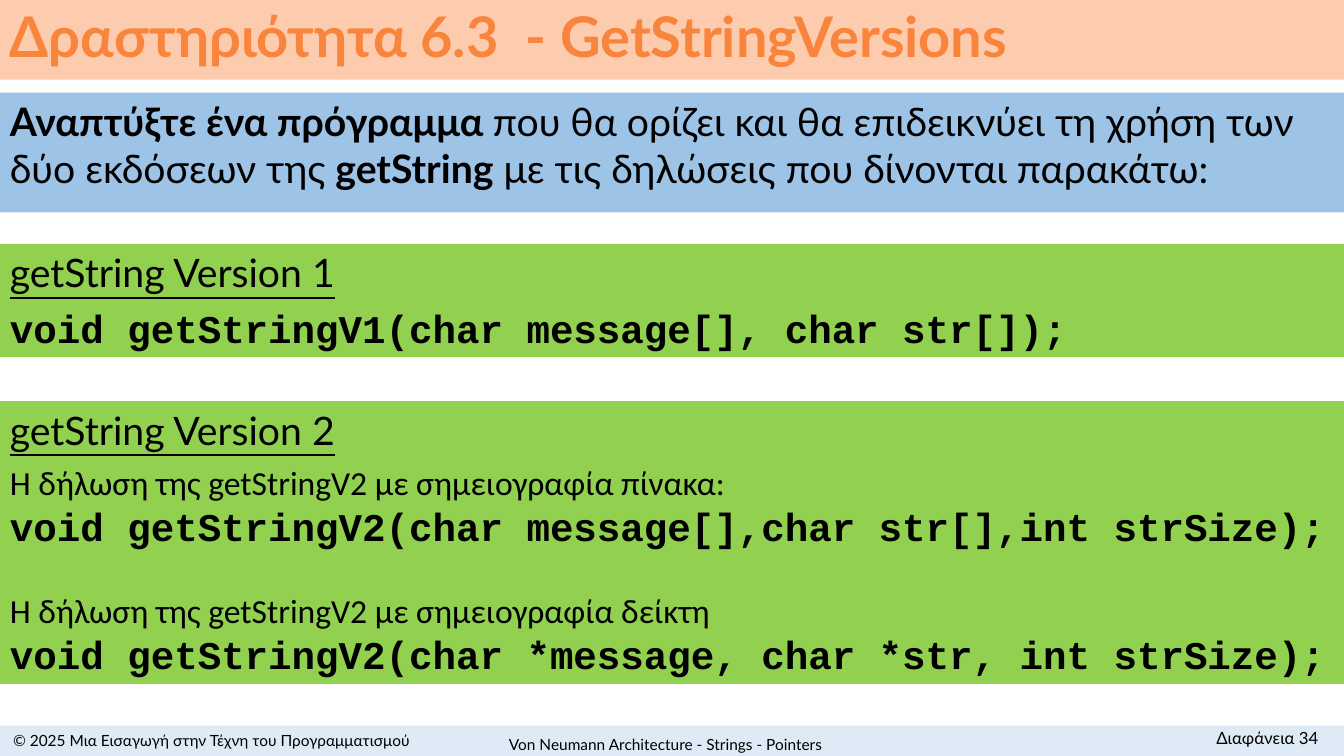
from dataclasses import dataclass

import pptx
import pptx.dml.color
import pptx.enum.shapes
import pptx.enum.text
import pptx.slide
import pptx.text.text
import pptx.util

Pt = pptx.util.Pt
ALIGN = pptx.enum.text.PP_ALIGN
ANCHOR = pptx.enum.text.MSO_ANCHOR
COLORS = {
    "peach": "FDCBAD",
    "orange": "F9853D",
    "blue": "9DC3E6",
    "green": "92D050",
    "pale": "DEEBF7",
    "black": "000000",
}
WIDTH, HEIGHT = 960, 540


@dataclass
class Run:
    text: str
    size: float = 28
    font: str = "Lato"
    color: str = "black"
    bold: bool = False
    underline: bool = False


@dataclass
class Para:
    runs: list[Run]
    before: float = 0
    after: float = 0
    line: float = 1.0
    align: ALIGN = ALIGN.LEFT


@dataclass
class Band:
    top: float
    height: float
    color: str
    paras: list[Para]
    anchor: ANCHOR = ANCHOR.TOP


@dataclass
class Label:
    left: float
    top: float
    width: float
    height: float
    text: str
    size: float
    align: ALIGN
    anchor: ANCHOR


def rgb(name: str) -> pptx.dml.color.RGBColor:
    return pptx.dml.color.RGBColor.from_string(COLORS[name])


def add_run(p: pptx.text.text._Paragraph, text: str, *, size: float, font: str,
            color: str, bold: bool, underline: bool) -> None:
    r = p.add_run()
    r.text = text
    r.font.size = Pt(size)
    r.font.name = font
    r.font.color.rgb = rgb(color)
    r.font.bold = bold
    r.font.underline = underline


def fill_text(tf: pptx.text.text.TextFrame, paras: list[Para], anchor: ANCHOR) -> None:
    tf.word_wrap = True
    tf.vertical_anchor = anchor
    for i, para in enumerate(paras):
        p = tf.add_paragraph() if i else tf.paragraphs[0]
        p.alignment = para.align
        p.line_spacing = para.line
        p.space_after = Pt(para.after)
        if i:
            p.space_before = Pt(para.before)
        for run in para.runs:
            add_run(p, run.text, size=run.size, font=run.font, color=run.color,
                    bold=run.bold, underline=run.underline)


def draw_band(slide: pptx.slide.Slide, band: Band) -> None:
    sp = slide.shapes.add_shape(pptx.enum.shapes.MSO_SHAPE.RECTANGLE,
                                0, Pt(band.top), Pt(WIDTH), Pt(band.height))
    sp.shadow.inherit = False
    sp.fill.solid()
    sp.fill.fore_color.rgb = rgb(band.color)
    sp.line.fill.background()
    fill_text(sp.text_frame, band.paras, band.anchor)


def draw_label(slide: pptx.slide.Slide, label: Label) -> None:
    sp = slide.shapes.add_textbox(Pt(label.left), Pt(label.top),
                                  Pt(label.width), Pt(label.height))
    para = Para([Run(label.text, label.size)], align=label.align)
    fill_text(sp.text_frame, [para], label.anchor)


def heading(text: str) -> Para:
    return Para([Run(text, underline=True)], after=6)


def note(text: str, before: float = 0) -> Para:
    return Para([Run(text, size=24, font="Calibri")], before=before)


def code(text: str) -> Para:
    return Para([Run(text, font="Courier New", bold=True)])


BANDS = [
    Band(0, 56.9, "peach", [
        Para([Run("Δραστηριότητα 6.3  - GetStringVersions", size=40,
                  color="orange", bold=True)], line=0.9),
    ], ANCHOR.MIDDLE),
    Band(66.2, 85.5, "blue", [
        Para([
            Run("Αναπτύξτε ένα πρόγραμμα ", bold=True),
            Run("που θα ορίζει και θα επιδεικνύει τη χρήση των δύο εκδόσεων της "),
            Run("getString", bold=True),
            Run(" με τις δηλώσεις που δίνονται παρακάτω:"),
        ]),
    ]),
    Band(174.2, 81, "green", [
        heading("getString Version 1"),
        code("void getStringV1(char message[], char str[]);"),
    ]),
    Band(286.5, 202, "green", [
        heading("getString Version 2"),
        note("Η δήλωση της getStringV2 με σημειογραφία πίνακα:"),
        code("void getStringV2(char message[],char str[],int strSize);"),
        note("Η δήλωση της getStringV2 με σημειογραφία δείκτη", before=29.3),
        code("void getStringV2(char *message, char *str, int strSize);"),
    ]),
    Band(518.4, 21.6, "pale", []),
]

LABELS = [
    Label(0, 519.8, 302.4, 18.7, "© 2025 Μια Εισαγωγή στην Τέχνη του Προγραμματισμού",
          11, ALIGN.CENTER, ANCHOR.MIDDLE),
    Label(293, 520.6, 365, 21.6, "Von Neumann Architecture - Strings - Pointers",
          11, ALIGN.CENTER, ANCHOR.MIDDLE),
    Label(800.6, 516.2, 148.3, 21.6, "Διαφάνεια 34", 12, ALIGN.RIGHT, ANCHOR.TOP),
]


def main() -> None:
    prs = pptx.Presentation()
    prs.slide_width, prs.slide_height = Pt(WIDTH), Pt(HEIGHT)
    slide = prs.slides.add_slide(prs.slide_layouts[6])
    for band in BANDS:
        draw_band(slide, band)
    for label in LABELS:
        draw_label(slide, label)
    prs.save("out.pptx")


if __name__ == "__main__":
    main()
